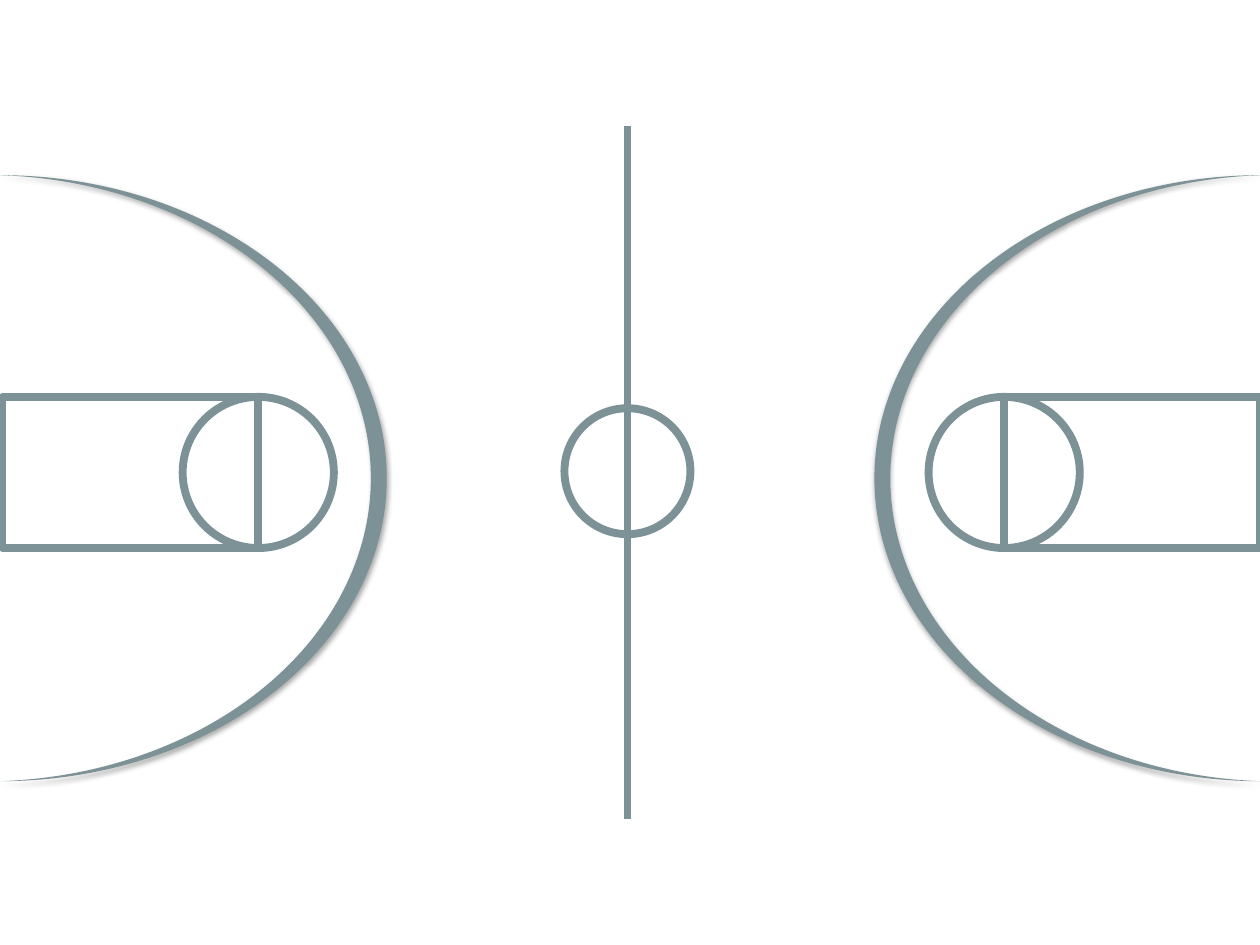
"""Draw a basketball court in outline with mirrored ends."""
from lxml.etree import SubElement
from pptx import Presentation
from pptx.dml.color import RGBColor
from pptx.enum.shapes import MSO_CONNECTOR, MSO_SHAPE as SHAPE
from pptx.oxml.ns import qn
from pptx.util import Inches, Pt

COURT_COLOR = "7C9297"
LINE_WIDTH = 4.5
CENTER_X = 4.98
CENTER_CIRCLE = (4.48, 3.24, 1, 1)
HALF_LINE = (1, 6.5)
ARC_DEPTH = 0.041
SHADOW = {"color": "000000", "alpha": 35, "blur": 3.1, "distance": 1.8, "angle": 90}
ENDS = [
    {"key": (7.97, 3.15, 2.03, 1.2), "circle": (7.37, 3.15, 1.2, 1.2),
     "arc": (6.94, 1.39, 3.07, 4.81), "mirrored": False},
    {"key": (0.02, 3.15, 2.03, 1.2), "circle": (1.45, 3.15, 1.2, 1.2),
     "arc": (0, 1.39, 3.07, 4.81), "mirrored": True},
]


def rgb(color):
    return RGBColor.from_string(color)


def add_marking(slide, kind, box):
    marking = slide.shapes.add_shape(kind, *map(Inches, box))
    marking.shadow.inherit = False
    marking.fill.background()
    marking.line.color.rgb = rgb(COURT_COLOR)
    marking.line.width = Pt(LINE_WIDTH)
    return marking


def add_half_line(slide):
    top, bottom = HALF_LINE
    ends = map(Inches, (CENTER_X, bottom, CENTER_X, top))
    half_line = slide.shapes.add_connector(MSO_CONNECTOR.STRAIGHT, *ends)
    half_line.line.color.rgb = rgb(COURT_COLOR)
    half_line.line.width = Pt(LINE_WIDTH)
    SubElement(half_line._element.spPr, qn("a:effectLst"))


def add_shadow(shape, color, alpha, blur, distance, angle):
    effects = shape._element.spPr.find(qn("a:effectLst"))
    outer = SubElement(effects, qn("a:outerShdw"), blurRad=str(Pt(blur)),
                       dist=str(Pt(distance)), dir=str(angle * 60000), rotWithShape="0")
    shade = SubElement(outer, qn("a:srgbClr"), val=color)
    SubElement(shade, qn("a:alpha"), val=str(alpha * 1000))


def add_arc(slide, box, mirrored):
    arc = add_marking(slide, SHAPE.MOON, box)
    arc.adjustments[0] = ARC_DEPTH
    arc.fill.solid()
    arc.fill.fore_color.rgb = rgb(COURT_COLOR)
    arc.line.fill.background()
    if mirrored:
        arc._element.spPr.find(qn("a:xfrm")).set("flipH", "1")
    add_shadow(arc, **SHADOW)


def main():
    deck = Presentation()
    deck.slide_width, deck.slide_height = Inches(10), Inches(7.5)
    court = deck.slides.add_slide(deck.slide_layouts[6])
    add_marking(court, SHAPE.OVAL, CENTER_CIRCLE)
    add_half_line(court)
    for end in ENDS:
        add_marking(court, SHAPE.RECTANGLE, end["key"])
        add_marking(court, SHAPE.OVAL, end["circle"])
        add_arc(court, end["arc"], end["mirrored"])
    deck.save("out.pptx")


if __name__ == "__main__":
    main()
